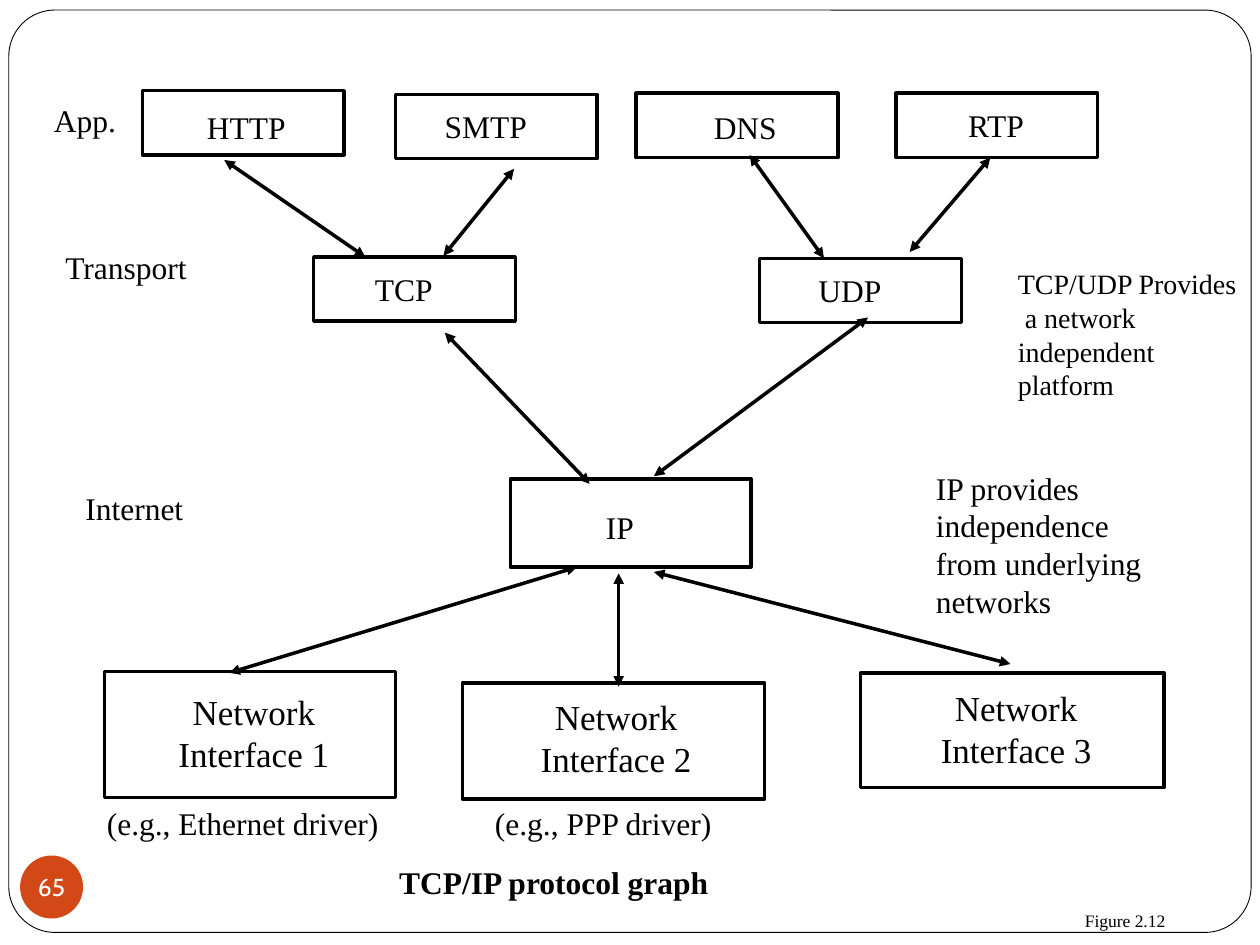
from lxml import etree
from pptx import Presentation
from pptx import util as u
from pptx.dml.color import RGBColor
from pptx.enum import shapes, text
from pptx.oxml.ns import qn

COLORS = {"ink": "000000", "paper": "FFFFFF", "badge": "D34817"}
SERIF = "Times New Roman"
LEFT, CENTER = text.PP_ALIGN.LEFT, text.PP_ALIGN.CENTER
TOP, MIDDLE = text.MSO_ANCHOR.TOP, text.MSO_ANCHOR.MIDDLE
PROTOCOL_SIZE = (1.6, 0.51)

# box left, top, size; label text, left, top, width, height, font size
NODES = [
    (1.13, 0.72, PROTOCOL_SIZE, ("HTTP", 1.44, 0.76, 1.03, 0.5, 18)),
    (3.14, 0.75, PROTOCOL_SIZE, ("SMTP", 3.29, 0.75, 1.13, 0.5, 18)),
    (5.05, 0.74, PROTOCOL_SIZE, ("DNS", 5.46, 0.76, 0.91, 0.5, 18)),
    (7.11, 0.74, PROTOCOL_SIZE, ("RTP", 7.47, 0.74, 0.87, 0.5, 18)),
    (2.49, 2.04, PROTOCOL_SIZE, ("TCP", 2.8, 2.04, 0.81, 0.5, 18)),
    (6.03, 2.05, PROTOCOL_SIZE, ("UDP", 6.31, 2.05, 0.87, 0.5, 18)),
    (4.05, 3.8, (1.91, 0.7), ("IP", 4.67, 3.93, 0.5, 0.5, 18)),
    (0.83, 5.33, (2.31, 1), ("Network Interface 1", 1.08, 5.43, 1.87, 0.77, 20)),
    (3.67, 5.42, (2.4, 0.92), ("Network Interface 2", 3.92, 5.47, 1.94, 0.77, 20)),
    (6.83, 5.34, (2.41, 0.91), ("Network Interface 3", 7.09, 5.4, 1.95, 0.77, 20)),
]
LINKS = [
    (1.78, 1.27, 2.9, 2.04),
    (3.52, 2.03, 4.08, 1.34),
    (6.54, 2.05, 5.95, 1.23),
    (7.22, 2, 7.86, 1.25),
    (4.68, 3.84, 3.53, 2.64),
    (5.19, 3.78, 6.89, 2.52),
    (1.82, 5.34, 4.58, 4.5),
    (4.91, 5.45, 4.91, 4.55),
    (8.02, 5.27, 5.19, 4.54),
]
NOTES = [
    ("App.", 0.33, 0.75, 0.86, 0.5, 18),
    ("Transport", 0.42, 1.92, 1.5, 0.5, 18),
    ("Internet", 0.58, 3.83, 1.24, 0.5, 18),
    ("TCP/UDP Provides\n a network\nindependent\nplatform", 7.98, 2.07, 1.95, 1.17, 16),
    ("IP provides\nindependence\nfrom underlying\nnetworks", 7.33, 3.67, 1.83, 1.3, 18),
    ("(e.g., Ethernet driver)", 0.75, 6.33, 2.36, 0.4, 18),
    ("(e.g., PPP driver)", 3.83, 6.33, 1.93, 0.4, 18),
]


def rgb(name):
    return RGBColor.from_string(COLORS[name])


def write(tf, words, size, align, font=SERIF, color="ink", bold=False):
    tf.text = words
    for p in tf.paragraphs:
        p.alignment = align
        p.font.name, p.font.size, p.font.bold = font, u.Pt(size), bold
        p.font.color.rgb = rgb(color)


def add_shape(s, kind, x, y, w, h, fill=None, line=None):
    sp = s.shapes.add_shape(kind, *map(u.Inches, (x, y, w, h)))
    sp.shadow.inherit = False
    if fill:
        sp.fill.solid()
        sp.fill.fore_color.rgb = rgb(fill)
    else:
        sp.fill.background()
    if line:
        sp.line.color.rgb = rgb("ink")
        sp.line.width = u.Pt(line)
    else:
        sp.line.fill.background()
    return sp


def add_text(s, words, x, y, w, h, size, align=LEFT, anchor=TOP, wrap=False, bold=False):
    tf = s.shapes.add_textbox(*map(u.Inches, (x, y, w, h))).text_frame
    tf.word_wrap, tf.vertical_anchor = wrap, anchor
    write(tf, words, size, align, bold=bold)


def add_node(s, x, y, size, label):
    add_shape(s, shapes.MSO_SHAPE.RECTANGLE, x, y, *size, line=2)
    add_text(s, *label, align=CENTER, anchor=MIDDLE, wrap=" " in label[0])


def add_link(s, *ends):
    c = s.shapes.add_connector(shapes.MSO_CONNECTOR.STRAIGHT, *map(u.Inches, ends))
    c.line.color.rgb = rgb("ink")
    c.line.width = u.Pt(2)
    ln = c.line._get_or_add_ln()
    for end in ("a:headEnd", "a:tailEnd"):
        etree.SubElement(ln, qn(end), type="triangle")
    etree.SubElement(c._element.spPr, qn("a:effectLst"))


def add_page_number(s):
    tf = add_shape(s, shapes.MSO_SHAPE.OVAL, 0.16, 6.79, 0.5, 0.5, fill="badge").text_frame
    tf.margin_left = tf.margin_right = tf.margin_top = tf.margin_bottom = 0
    tf.word_wrap, tf.vertical_anchor = False, MIDDLE
    write(tf, "65", 14, CENTER, "Cabin", "paper")


def main():
    """Build the TCP/IP protocol graph slide."""
    prs = Presentation()
    prs.slide_width, prs.slide_height = u.Inches(10), u.Inches(7.5)
    s = prs.slides.add_slide(prs.slide_layouts[6])
    frame = add_shape(s, shapes.MSO_SHAPE.ROUNDED_RECTANGLE, 0.07, 0.08, 9.86, 7.32, "paper", 0.5)
    frame.adjustments[0] = 0.05
    add_page_number(s)
    for node in NODES:
        add_node(s, *node)
    for link in LINKS:
        add_link(s, *link)
    for note in NOTES:
        add_text(s, *note)
    add_text(s, "TCP/IP protocol graph", 3.07, 6.8, 3.5, 0.5, 18, bold=True)
    add_text(s, "Figure 2.12", 8.51, 7.17, 0.84, 0.27, 10, CENTER, MIDDLE)
    prs.save("out.pptx")


if __name__ == "__main__":
    main()
